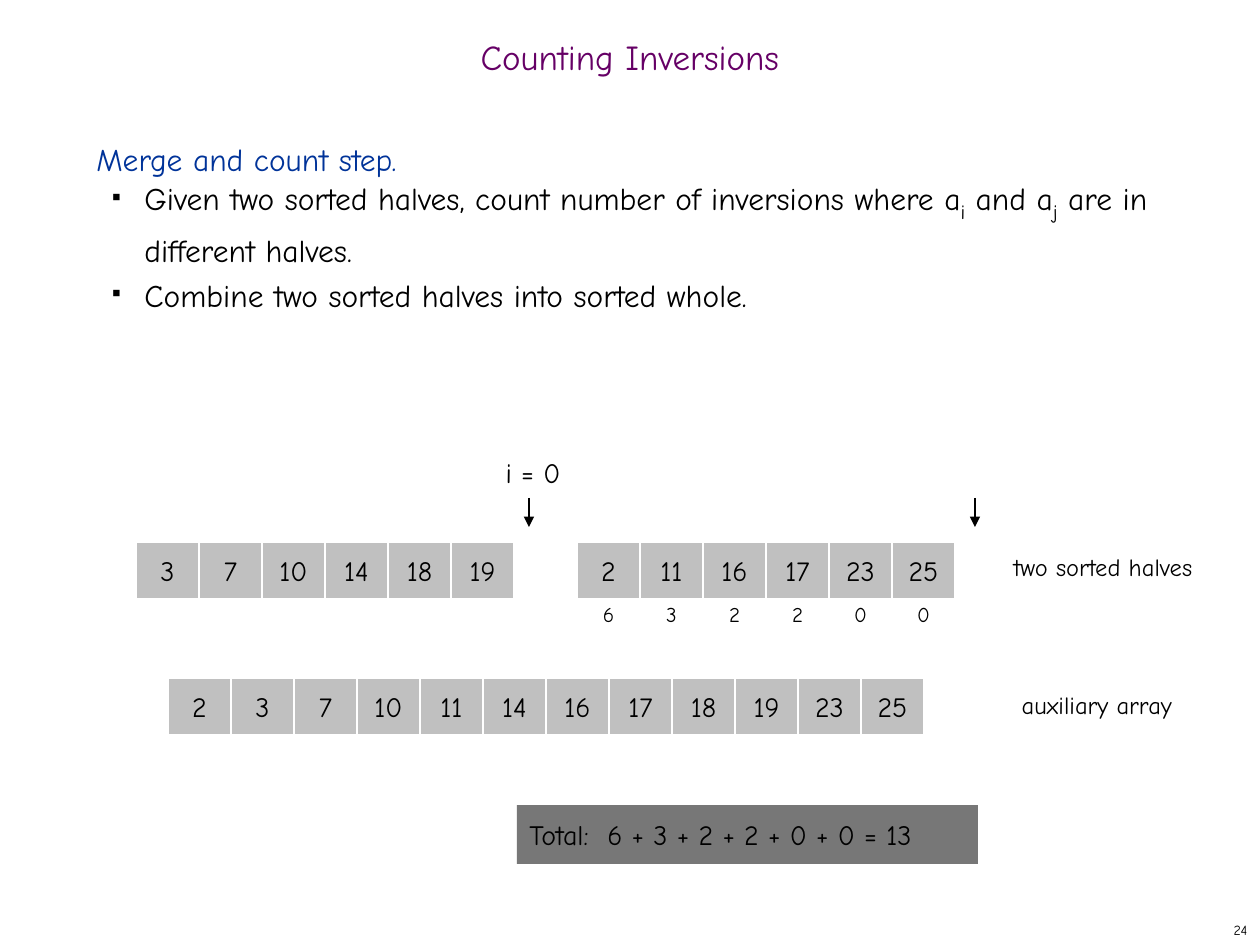
import pptx
import pptx.util
import pptx.dml.color
import pptx.enum.shapes
import pptx.enum.text
import pptx.oxml.ns
import lxml.etree

RGBColor = pptx.dml.color.RGBColor
ALIGN = pptx.enum.text.PP_ALIGN
ANCHOR = pptx.enum.text.MSO_ANCHOR
BLACK = RGBColor(0x00, 0x00, 0x00)
WHITE = RGBColor(0xFF, 0xFF, 0xFF)
CELL_GRAY = RGBColor(0xC0, 0xC0, 0xC0)
TOTAL_GRAY = RGBColor(0x77, 0x77, 0x77)
PURPLE = RGBColor(0x66, 0x00, 0x66)
BLUE = RGBColor(0x00, 0x33, 0x99)

FONT = "Comic Neue"
EMU_PER_PX = 914400 / 126
CELL_W, CELL_H = 63, 57


def px(length):
    return pptx.util.Emu(round(length * EMU_PER_PX))


def place(box):
    return [px(length) for length in box]


def add_xml(parent, tag, **attributes):
    return lxml.etree.SubElement(parent, pptx.oxml.ns.qn(tag), attributes)


def style(paragraph, size, color=BLACK, align=None):
    paragraph.font.name = FONT
    paragraph.font.size = pptx.util.Pt(size)
    paragraph.font.color.rgb = color
    paragraph.alignment = align


def add_text(slide, box, words, size, color=BLACK, align=ALIGN.CENTER,
             anchor=ANCHOR.TOP, before=None, spacing=None):
    frame = slide.shapes.add_textbox(*place(box)).text_frame
    frame.word_wrap = True
    frame.vertical_anchor = anchor
    line = frame.paragraphs[0]
    line.text = words
    style(line, size, color, align)
    if before:
        line.space_before = pptx.util.Pt(before)
    if spacing:
        line.line_spacing = spacing


def add_rectangle(slide, box, words, fill, align):
    rectangle = slide.shapes.add_shape(
        pptx.enum.shapes.MSO_SHAPE.RECTANGLE, *place(box))
    rectangle.shadow.inherit = False
    rectangle.fill.solid()
    rectangle.fill.fore_color.rgb = fill
    rectangle.text_frame.text = words
    style(rectangle.text_frame.paragraphs[0], 16, BLACK, align)
    return rectangle


# Title across the top
def draw_title(slide, box):
    add_text(slide, box, "Counting Inversions", 20, PURPLE,
             anchor=ANCHOR.MIDDLE, spacing=0.7)


# Step heading and its two bullets; odd pieces of a bullet are subscripts
def draw_step(slide, box):
    frame = slide.shapes.add_textbox(*place(box)).text_frame
    frame.word_wrap = True
    heading = frame.paragraphs[0]
    heading.text = "Merge and count step."
    style(heading, 18, BLUE)
    heading.line_spacing = pptx.util.Pt(26)

    bullets = [
        ["Given two sorted halves, count number of inversions where a", "i",
         " and a", "j", " are in different halves."],
        ["Combine two sorted halves into sorted whole."],
    ]
    for pieces in bullets:
        bullet = frame.add_paragraph()
        style(bullet, 18)
        bullet.line_spacing = pptx.util.Pt(26)
        bullet.level = 1
        properties = bullet._p.get_or_add_pPr()
        properties.set("marL", str(px(48)))
        properties.set("indent", str(-px(32)))
        marker = lxml.etree.Element(pptx.oxml.ns.qn("a:buClr"))
        add_xml(marker, "a:srgbClr", val=str(BLACK))
        size = lxml.etree.Element(pptx.oxml.ns.qn("a:buSzPct"), val="35000")
        sign = lxml.etree.Element(pptx.oxml.ns.qn("a:buChar"), char="■")
        spacing = properties.find(pptx.oxml.ns.qn("a:lnSpc"))
        for part in (sign, size, marker):
            spacing.addnext(part)
        for index, piece in enumerate(pieces):
            run = bullet.add_run()
            run.text = piece
            if index % 2:
                run.font.size = pptx.util.Pt(20)
                run.font._element.set("baseline", "-25000")


# Row of array cells starting at left, top
def draw_array(slide, left, top, values):
    for index, value in enumerate(values):
        cell = add_rectangle(
            slide, (left + index * CELL_W, top, CELL_W, CELL_H),
            str(value), CELL_GRAY, ALIGN.CENTER)
        cell.line.color.rgb = WHITE
        cell.line.width = pptx.util.Pt(0.75)
        cell.text_frame.word_wrap = False
        cell.text_frame.vertical_anchor = ANCHOR.MIDDLE


# Inversion counts centred under the cells of a row
def draw_counts(slide, left, top, counts):
    width = 38
    for index, count in enumerate(counts):
        centre = left + index * CELL_W + CELL_W / 2
        add_text(slide, (centre - width / 2, top, width, 38), str(count), 12,
                 before=7.5)


# Downward arrow marking a scan position
def draw_pointer(slide, x, top, length):
    pointer = slide.shapes.add_connector(
        pptx.enum.shapes.MSO_CONNECTOR.STRAIGHT,
        *place((x, top, x, top + length)))
    pointer.line.color.rgb = BLACK
    pointer.line.width = pptx.util.Pt(0.75)
    add_xml(pointer.line._get_or_add_ln(), "a:tailEnd", type="triangle")
    add_xml(pointer._element.spPr, "a:effectLst")


# The two halves with counts, pointers and caption
def draw_halves(slide, left, top):
    right = left + 7 * CELL_W
    draw_array(slide, left, top, [3, 7, 10, 14, 18, 19])
    draw_array(slide, right, top, [2, 11, 16, 17, 23, 25])
    draw_counts(slide, right, top + 53, [6, 3, 2, 2, 0, 0])
    for x in (left + 393, left + 839):
        draw_pointer(slide, x, top - 44, 29)
    add_text(slide, (left + 266, top - 93, 262, 47), "i = 0", 16, before=10)
    add_text(slide, (left + 832, top + 4, 270, 43), "two sorted halves", 14,
             before=8.8)


# The merged array with its caption
def draw_auxiliary(slide, left, top):
    draw_array(slide, left, top, [2, 3, 7, 10, 11, 14, 16, 17, 18, 19, 23, 25])
    add_text(slide, (left + 798, top + 6, 262, 43), "auxiliary array", 14,
             before=8.8)


# Sum of all inversions
def draw_total(slide, box):
    total = add_rectangle(slide, box, "Total:  6 + 3 + 2 + 2 + 0 + 0 = 13",
                          TOTAL_GRAY, ALIGN.LEFT)
    total.line.fill.background()
    frame = total.text_frame
    frame.vertical_anchor = ANCHOR.TOP
    frame.margin_top = frame.margin_bottom = px(13)
    frame.paragraphs[0].space_before = pptx.util.Pt(10)


def draw_page_number(slide, box):
    add_text(slide, box, "24", 8, align=ALIGN.RIGHT, anchor=ANCHOR.MIDDLE)


def main():
    deck = pptx.Presentation()
    deck.slide_width, deck.slide_height = px(1260), px(945)
    slide = deck.slides.add_slide(deck.slide_layouts[6])
    draw_step(slide, (84, 126, 1081, 746))
    draw_halves(slide, 136, 542)
    draw_auxiliary(slide, 168, 678)
    draw_total(slide, (517, 805, 461, 59))
    draw_title(slide, (0, 21, 1260, 81))
    draw_page_number(slide, (998, 914, 262, 31))
    deck.save("out.pptx")


if __name__ == "__main__":
    main()
